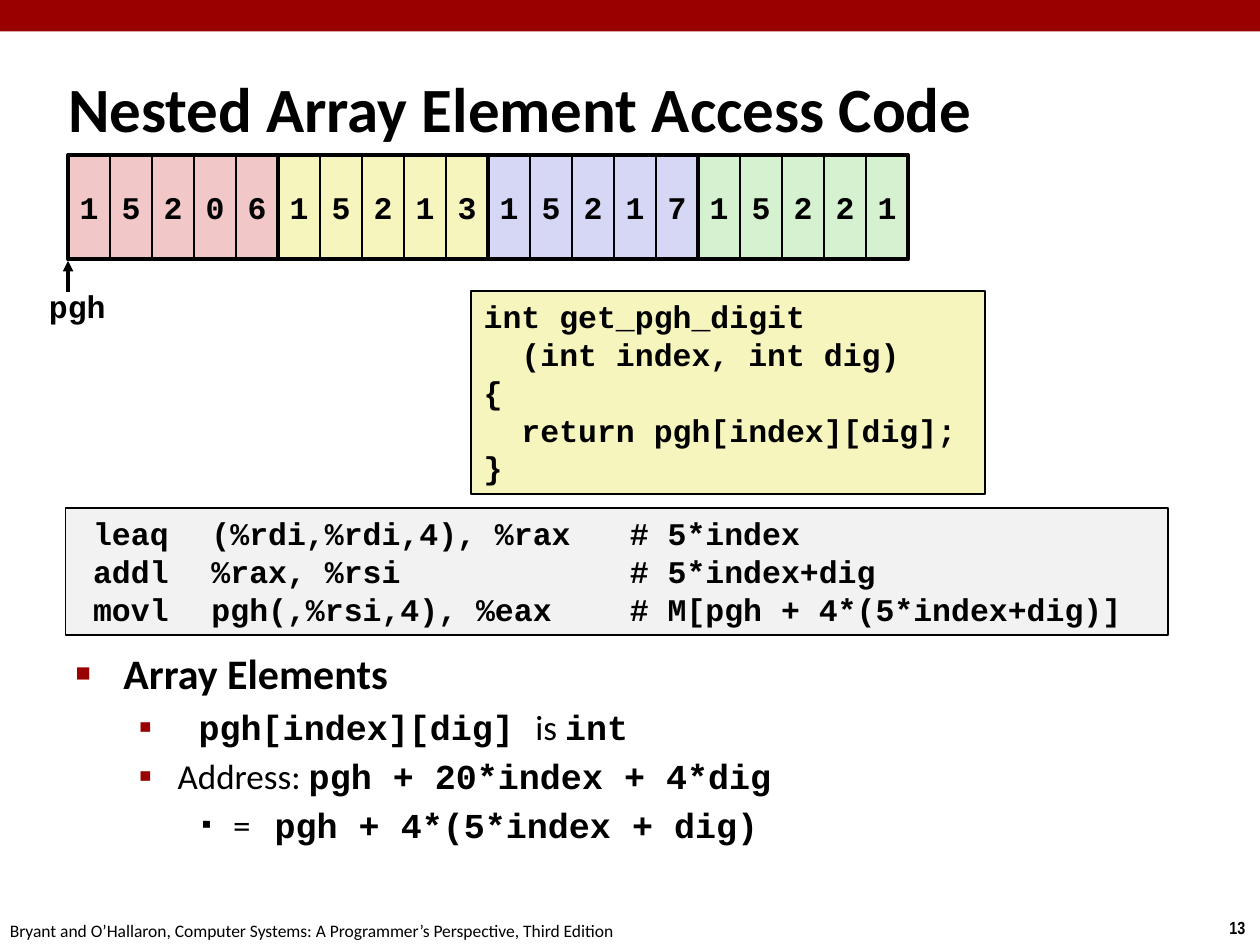
"""Build the slide on nested array element access code."""
from lxml import etree
from pptx import Presentation
from pptx.dml.color import RGBColor
from pptx.enum.shapes import MSO_CONNECTOR, MSO_SHAPE
from pptx.enum.text import MSO_ANCHOR, MSO_AUTO_SIZE, PP_ALIGN
from pptx.oxml.ns import qn
from pptx.util import Inches, Pt

RECTANGLE = MSO_SHAPE.RECTANGLE
STRAIGHT = MSO_CONNECTOR.STRAIGHT
TOP, MIDDLE = MSO_ANCHOR.TOP, MSO_ANCHOR.MIDDLE
LEFT, CENTER = PP_ALIGN.LEFT, PP_ALIGN.CENTER
NO_AUTO_SIZE = MSO_AUTO_SIZE.NONE

BLACK = RGBColor(0x00, 0x00, 0x00)
DARK_RED = RGBColor(0x99, 0x00, 0x00)
PINK = RGBColor(0xF1, 0xC7, 0xC7)
YELLOW = RGBColor(0xF6, 0xF5, 0xBD)
LAVENDER = RGBColor(0xD6, 0xD6, 0xF5)
GREEN = RGBColor(0xD5, 0xF1, 0xCF)
GRAY = RGBColor(0xF2, 0xF2, 0xF2)

SANS, CODE, NARROW = "Calibri", "Courier New", "Arial Narrow"

ARRAY_LEFT, ARRAY_TOP, CELL_WIDTH, CELL_HEIGHT = 0.54, 1.23, 1 / 3, 0.83
ARRAY_ROWS = [("15206", PINK), ("15213", YELLOW), ("15217", LAVENDER), ("15221", GREEN)]

C_LINES = [
    "int get_pgh_digit",
    "  (int index, int dig)",
    "{",
    "  return pgh[index][dig];",
    "}",
]
ASSEMBLY_LINES = [
    "\tleaq\t(%rdi,%rdi,4), %rax\t# 5*index",
    "\taddl\t%rax, %rsi\t# 5*index+dig",
    "\tmovl\tpgh(,%rsi,4), %eax\t# M[pgh + 4*(5*index+dig)]",
]
ASSEMBLY_TABS = [0.12, 1.06, 4.38]

LEVEL_STYLES = [
    {"margin": 0.38, "indent": -0.38, "bullet": "■", "percent": 60, "color": DARK_RED, "size": 24},
    {"margin": 0.81, "indent": -0.31, "bullet": "▪", "percent": 110, "color": DARK_RED, "size": 20},
    {"margin": 1.25, "indent": -0.25, "bullet": "▪", "percent": 80, "color": BLACK, "size": 20},
]
BODY_ITEMS = [
    (0, [("Array Elements", SANS, True)]),
    (1, [(" pgh[index][dig] ", CODE, True), ("is ", SANS, False), ("int", CODE, True)]),
    (1, [("Address: ", SANS, False), ("pgh + 20*index + 4*dig", CODE, True)]),
    (2, [("=\t", SANS, False), ("pgh + 4*(5*index + dig)", CODE, True)]),
]
EQUATION_TAB = 1.58


def format_run(run, font_name, size, bold):
    """Set the font of one run."""
    font = run.font
    font.name, font.size, font.bold = font_name, Pt(size), bold
    font.color.rgb = BLACK


def add_tabs(paragraph, positions):
    """Give a paragraph left tab stops at positions in inches."""
    tab_list = etree.SubElement(paragraph._p.get_or_add_pPr(), qn("a:tabLst"))
    for position in positions:
        etree.SubElement(tab_list, qn("a:tab"), pos=str(Inches(position)), algn="l")


def write_lines(shape, lines, font_name, size, bold=True, alignment=LEFT):
    """Write lines of uniform text into a shape."""
    shape.text_frame.text = "\n".join(lines)
    for paragraph in shape.text_frame.paragraphs:
        paragraph.alignment = alignment
        for run in paragraph.runs:
            format_run(run, font_name, size, bold)


def add_box(slide, left, top, width, height, fill=None, line_width=None):
    """Add a rectangle with an optional fill and black outline."""
    box = slide.shapes.add_shape(
        RECTANGLE, Inches(left), Inches(top), Inches(width), Inches(height))
    box.shadow.inherit = False
    if fill is None:
        box.fill.background()
    else:
        box.fill.solid()
        box.fill.fore_color.rgb = fill
    if line_width is None:
        box.line.fill.background()
    else:
        box.line.color.rgb = BLACK
        box.line.width = Pt(line_width)
    return box


def add_label(slide, left, top, width, height, text, font_name, size, bold):
    """Add a single-line text box."""
    label = slide.shapes.add_textbox(
        Inches(left), Inches(top), Inches(width), Inches(height))
    label.text_frame.word_wrap = False
    write_lines(label, [text], font_name, size, bold)


def add_code_box(slide, left, top, width, height, fill, lines, tabs=()):
    """Add a filled box holding lines of code."""
    box = add_box(slide, left, top, width, height, fill, 1)
    box.text_frame.word_wrap = True
    box.text_frame.vertical_anchor = TOP
    write_lines(box, lines, CODE, 18)
    if tabs:
        for paragraph in box.text_frame.paragraphs:
            add_tabs(paragraph, tabs)


def add_array(slide):
    """Add the digit cells and a thick frame round each row."""
    row_width = CELL_WIDTH * len(ARRAY_ROWS[0][0])
    row_lefts = [ARRAY_LEFT + row * row_width for row in range(len(ARRAY_ROWS))]
    for row_left, (digits, fill) in zip(row_lefts, ARRAY_ROWS):
        for column, digit in enumerate(digits):
            cell = add_box(slide, row_left + column * CELL_WIDTH, ARRAY_TOP,
                           CELL_WIDTH, CELL_HEIGHT, fill, 1)
            cell.text_frame.word_wrap = False
            cell.text_frame.vertical_anchor = MIDDLE
            write_lines(cell, [digit], CODE, 18, alignment=CENTER)
    for row_left in row_lefts:
        add_box(slide, row_left, ARRAY_TOP, row_width, CELL_HEIGHT, line_width=2.25)


def add_pointer(slide):
    """Add the labelled arrow to the start of the array."""
    arrow = slide.shapes.add_connector(
        STRAIGHT, Inches(ARRAY_LEFT), Inches(2.32), Inches(ARRAY_LEFT), Inches(2.07))
    arrow.line.color.rgb = BLACK
    arrow.line.width = Pt(2)
    etree.SubElement(arrow.line._get_or_add_ln(), qn("a:tailEnd"), type="triangle")
    etree.SubElement(arrow._element.spPr, qn("a:effectLst"))
    add_label(slide, 0.29, 2.23, 0.66, 0.4, "pgh", CODE, 18, True)


def place(shape, left, top, width, height):
    """Move and size a placeholder."""
    shape.left, shape.top = Inches(left), Inches(top)
    shape.width, shape.height = Inches(width), Inches(height)
    shape.text_frame.auto_size = NO_AUTO_SIZE


def format_bullet(paragraph, style):
    """Set the indent and bullet of a list paragraph."""
    properties = paragraph._p.get_or_add_pPr()
    properties.set("marL", str(Inches(style["margin"])))
    properties.set("indent", str(Inches(style["indent"])))
    color = etree.SubElement(properties, qn("a:buClr"))
    etree.SubElement(color, qn("a:srgbClr"), val=str(style["color"]))
    etree.SubElement(properties, qn("a:buSzPct"), val=str(style["percent"] * 1000))
    etree.SubElement(properties, qn("a:buFont"), typeface="Arial")
    etree.SubElement(properties, qn("a:buChar"), char=style["bullet"])


def fill_title(title):
    """Write the slide title."""
    place(title, 0.44, 0.54, 9.06, 0.63)
    title.text_frame.vertical_anchor = MIDDLE
    write_lines(title, ["Nested Array Element Access Code"], SANS, 36)


def fill_body(body):
    """Write the bulleted list."""
    place(body, 0.5, 5.09, 9.1, 1.91)
    text_frame = body.text_frame
    for index, (level, pieces) in enumerate(BODY_ITEMS):
        paragraph = text_frame.add_paragraph() if index else text_frame.paragraphs[0]
        paragraph.level = level
        style = LEVEL_STYLES[level]
        format_bullet(paragraph, style)
        for text, font_name, bold in pieces:
            run = paragraph.add_run()
            run.text = text
            format_run(run, font_name, style["size"], bold)
    add_tabs(text_frame.paragraphs[-1], [EQUATION_TAB])


def main():
    """Build and save the presentation."""
    presentation = Presentation()
    presentation.slide_width, presentation.slide_height = Inches(10), Inches(7.5)
    slide = presentation.slides.add_slide(presentation.slide_layouts[1])
    add_box(slide, 0, 0, 10, 0.25, DARK_RED)
    add_label(slide, 9.66, 7.23, 0.34, 0.27, "13", NARROW, 10, True)
    add_label(slide, -0.02, 7.25, 5.08, 0.27,
              "Bryant and O’Hallaron, Computer Systems: A Programmer’s Perspective, Third Edition",
              SANS, 10, False)
    fill_title(slide.shapes.title)
    fill_body(slide.placeholders[1])
    add_code_box(slide, 3.74, 2.31, 4.08, 1.61, YELLOW, C_LINES)
    add_code_box(slide, 0.52, 4.03, 8.75, 1.01, GRAY, ASSEMBLY_LINES, ASSEMBLY_TABS)
    add_pointer(slide)
    add_array(slide)
    presentation.save("out.pptx")


if __name__ == "__main__":
    main()
